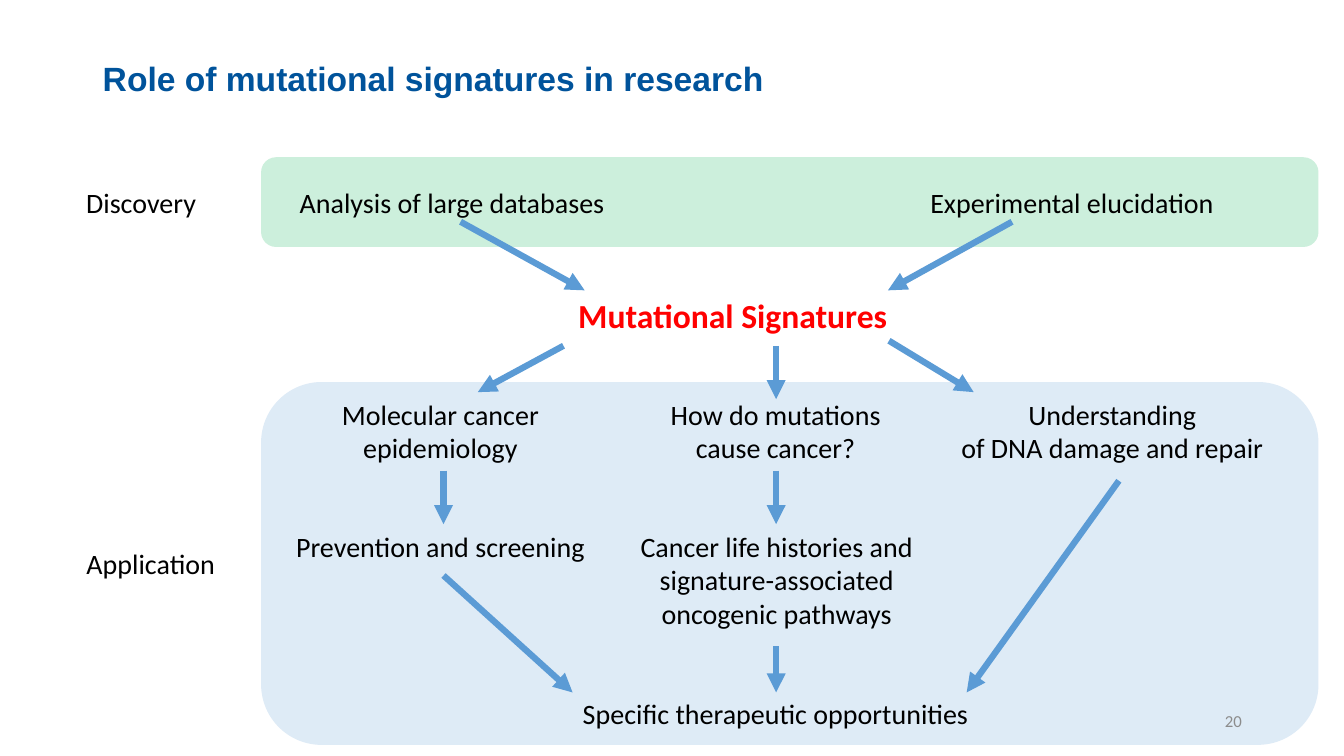
from lxml import etree
from pptx import Presentation
from pptx.dml.color import RGBColor
from pptx.enum.shapes import MSO_CONNECTOR as Line, MSO_SHAPE as Shape
from pptx.enum.text import MSO_ANCHOR as Anchor, MSO_AUTO_SIZE as Fit, PP_ALIGN as Align
from pptx.oxml.ns import qn
from pptx.util import Pt

COLORS = {"title": "00539B", "text": "000000", "key": "FF0000", "number": "8C8C8C",
          "arrow": "5B9BD5", "application": "5B9BD5", "discovery": "00B050"}


class Deck:
    """Holds the style and the current slide and draws each kind of element."""

    font = "Calibri"
    size = 20
    arrow_width = 4.5
    opacity = 20

    def __init__(self, prs):
        self.s = prs.slides.add_slide(prs.slide_layouts[5])

    def color(self, name):
        return RGBColor.from_string(COLORS[name])

    def style(self, p, align, size, color, bold, font):
        p.alignment = align
        for r in p.runs:
            r.font.name, r.font.size, r.font.bold = font, Pt(size), bold
            r.font.color.rgb = self.color(color)

    def title(self, text, x, y, w, h):
        sp = self.s.shapes.title
        sp.left, sp.top, sp.width, sp.height = Pt(x), Pt(y), Pt(w), Pt(h)
        tf = sp.text_frame
        tf.text = text
        tf.auto_size, tf.vertical_anchor = Fit.NONE, Anchor.MIDDLE
        p = tf.paragraphs[0]
        p.line_spacing = 0.9
        self.style(p, Align.LEFT, 24, "title", True, "Arial")

    def panel(self, color, x, y, w, h):
        sp = self.s.shapes.add_shape(Shape.ROUNDED_RECTANGLE, Pt(x), Pt(y), Pt(w), Pt(h))
        sp.shadow.inherit = False
        sp.line.fill.background()
        sp.fill.solid()
        sp.fill.fore_color.rgb = self.color(color)
        clr = sp.fill._xPr.find(".//" + qn("a:srgbClr"))
        etree.SubElement(clr, qn("a:alpha"), val=str(self.opacity * 1000))

    def text(self, text, x, y, w, h, align=Align.CENTER, size=size, color="text",
             bold=False, wrap=True, anchor=Anchor.TOP):
        sp = self.s.shapes.add_textbox(Pt(x), Pt(y), Pt(w), Pt(h))
        tf = sp.text_frame
        tf.text = text
        tf.word_wrap, tf.vertical_anchor = wrap, anchor
        for p in tf.paragraphs:
            self.style(p, align, size, color, bold, self.font)

    def arrow(self, x1, y1, x2, y2):
        sp = self.s.shapes.add_connector(Line.STRAIGHT, Pt(x1), Pt(y1), Pt(x2), Pt(y2))
        sp.line.color.rgb = self.color("arrow")
        sp.line.width = Pt(self.arrow_width)
        etree.SubElement(sp.line._get_or_add_ln(), qn("a:tailEnd"), type="triangle")
        etree.SubElement(sp._element.spPr, qn("a:effectLst"))


def main():
    prs = Presentation()
    prs.slide_width, prs.slide_height = Pt(960), Pt(540)
    deck = Deck(prs)

    deck.panel("application", 186.5, 272.9, 755.3, 259.2)
    deck.panel("discovery", 186.5, 112.3, 755.3, 64.1)
    deck.title("Role of mutational signatures in research", 66.2, 28.8, 828, 56.9)

    discovery_y, question_y, outcome_y, goal_y = 128.9, 280.1, 374.4, 494
    left_x, middle_x = 316.8, 554.4

    deck.text("Discovery", 54, discovery_y, 93.6, 31.5, wrap=False)
    deck.text("Application", 54, 386.6, 107.3, 31.5, wrap=False)
    deck.text("Mutational Signatures", 404.6, 207.4, 237.6, 36,
              size=24, color="key", bold=True, wrap=False)
    for text, x, y, w, h in (
            ("Analysis of large databases", 205.9, discovery_y, 234, 31.5),
            ("Experimental elucidation", 648.7, discovery_y, 234, 31.5),
            ("Molecular cancer epidemiology", 191.5, question_y, 246.2, 55.4),
            ("How do mutations cause cancer?", 455, question_y, 198, 55.4),
            ("Understanding\nof DNA damage and repair", 677.5, question_y, 234, 55.4),
            ("Prevention and screening", 191.5, outcome_y, 246.2, 31.5),
            ("Cancer life histories and signature-associated oncogenic pathways",
             439.9, outcome_y, 229.7, 79.9),
            ("Specific therapeutic opportunities", 365, goal_y, 378, 31.5)):
        deck.text(text, x, y, w, h)

    for ends in ((329, 158.4, 417.6, 207.4), (722.9, 158.4, 634.3, 207.4),
                 (402.5, 247, 341.3, 280.1), (middle_x, 247, middle_x, 285.1),
                 (635, 243.4, 695.5, 280.1),
                 (left_x, 336.2, left_x, outcome_y), (middle_x, 336.2, middle_x, outcome_y),
                 (left_x, 411.1, 409, 494.6), (middle_x, 461.5, middle_x, 494.6),
                 (799.2, 343.4, 690.5, 494.6)):
        deck.arrow(*ends)

    deck.text("20", 678.2, 500.4, 216, 28.8, align=Align.RIGHT, size=12,
              color="number", anchor=Anchor.MIDDLE)
    prs.save("out.pptx")


if __name__ == "__main__":
    main()
